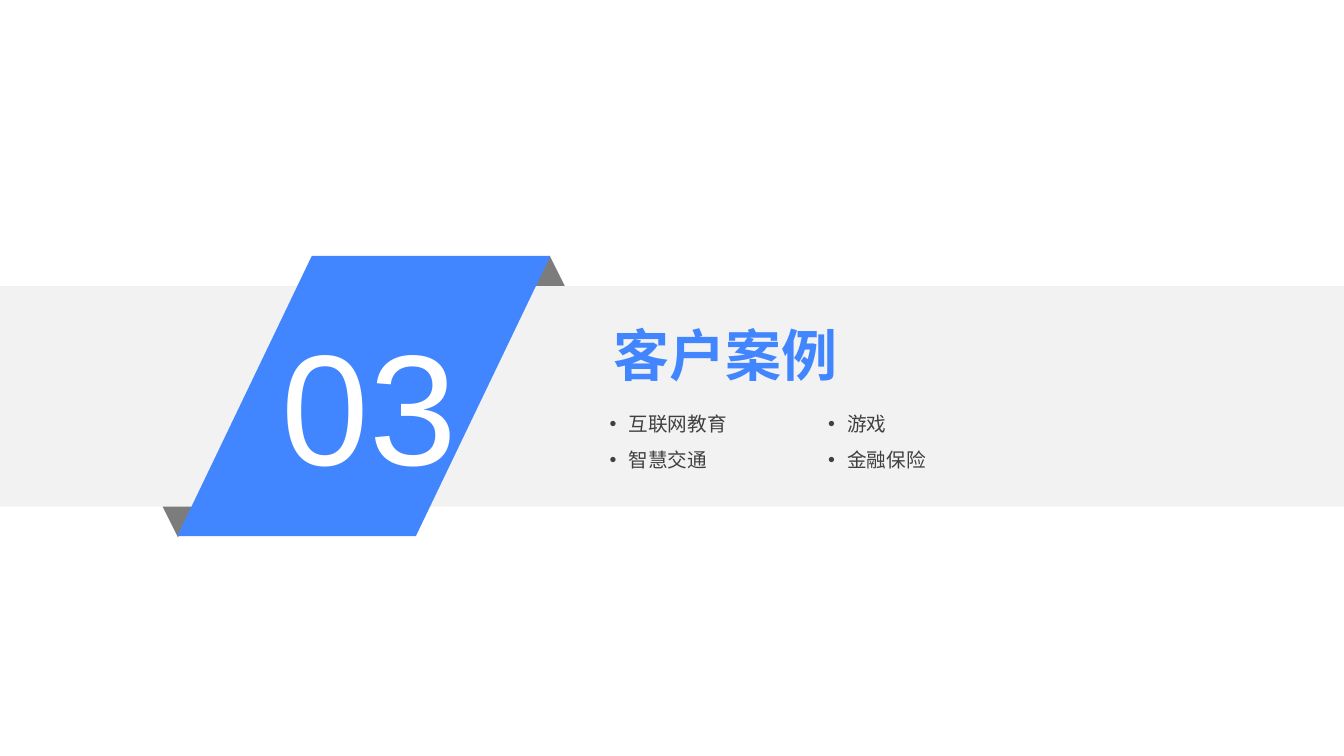
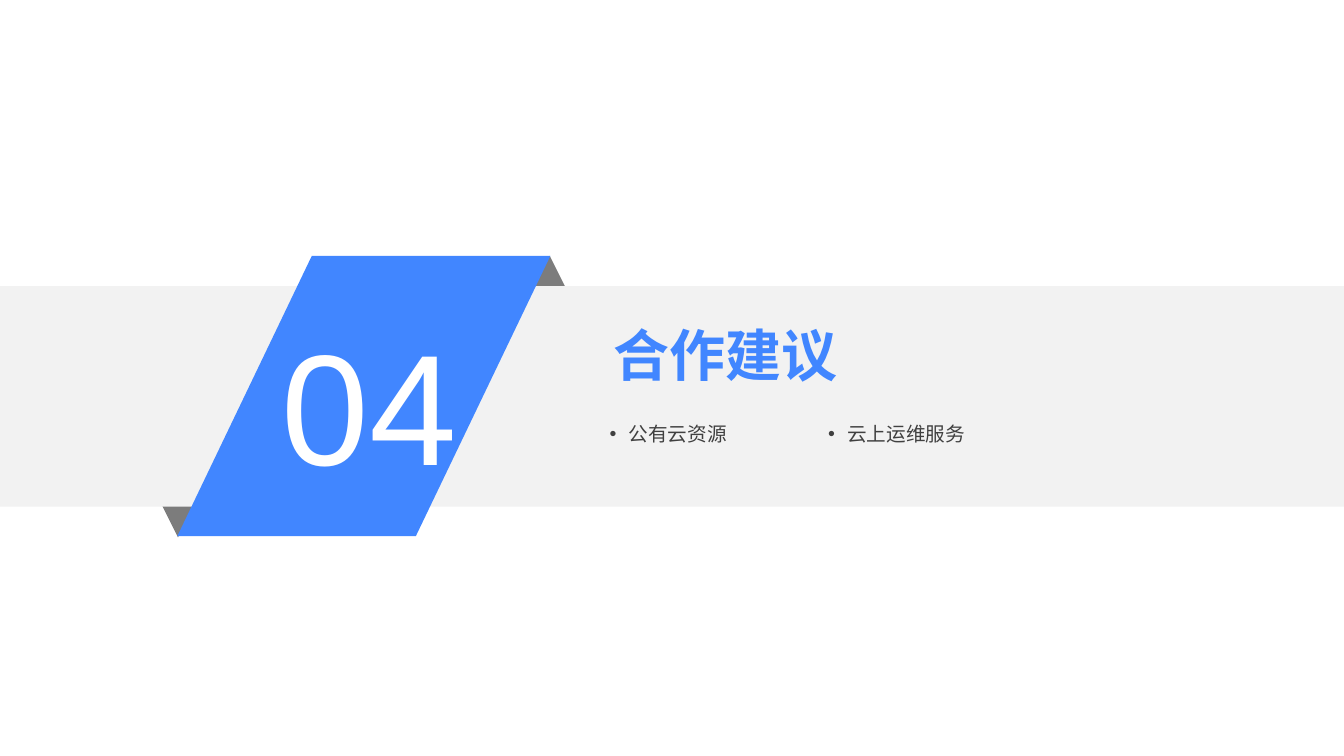
import dataclasses

import pptx
import pptx.dml.color
import pptx.enum.shapes
import pptx.enum.text
import pptx.oxml.ns
import pptx.util
from lxml import etree

Cm, Pt = pptx.util.Cm, pptx.util.Pt
SHAPES = pptx.enum.shapes.MSO_SHAPE
ALIGN = pptx.enum.text.PP_ALIGN
qn = pptx.oxml.ns.qn


@dataclasses.dataclass(frozen=True)
class Theme:
    accent: str = "4186FF"
    fold: str = "7C7C7C"
    band: str = "F2F2F2"
    body: str = "404040"
    white: str = "FFFFFF"
    number_font: str = "Arial"
    title_font: str = "Noto Sans CJK JP"
    body_font: str = "Noto Sans CJK SC"
    number_size: float = 112.5
    title_size: float = 40
    body_size: float = 14


class SectionDeck:
    """Holds the theme and the slide being built."""

    WIDTH, HEIGHT = 33.87, 19.05
    TWO_CONTENT = 3

    def __init__(self, theme):
        self.theme = theme
        self.deck = pptx.Presentation()
        self.deck.slide_width = Cm(self.WIDTH)
        self.deck.slide_height = Cm(self.HEIGHT)
        self.slide = None

    def new_slide(self):
        layout = self.deck.slide_layouts[self.TWO_CONTENT]
        self.slide = self.deck.slides.add_slide(layout)

    def block(self, group, kind, box, color):
        shape = group.shapes.add_shape(kind, *map(Cm, box))
        shape.shadow.inherit = False
        shape.fill.solid()
        shape.fill.fore_color.rgb = pptx.dml.color.RGBColor.from_string(color)
        shape.line.fill.background()
        return shape

    def frame(self, shape, margins):
        text = shape.text_frame
        text.word_wrap = True
        text.auto_size = pptx.enum.text.MSO_AUTO_SIZE.NONE
        text.vertical_anchor = pptx.enum.text.MSO_ANCHOR.TOP
        text.margin_left, text.margin_top, text.margin_right, text.margin_bottom = map(Cm, margins)
        return text

    def run(self, paragraph, words, font, size, color, bold=False):
        run = paragraph.add_run()
        run.text = words
        run.font.size = Pt(size)
        run.font.bold = bold
        run.font.color.rgb = pptx.dml.color.RGBColor.from_string(color)
        run.font.name = font
        east_asian = etree.SubElement(run.font._element, qn("a:ea"))
        east_asian.set("typeface", font)

    def placeholder(self, index, box):
        """Place a placeholder and bring it in front of the ribbon."""
        holder = self.slide.placeholders[index]
        holder.left, holder.top, holder.width, holder.height = map(Cm, box)
        self.slide.shapes._spTree.append(holder._element)
        return holder

    def ribbon(self, number):
        theme = self.theme
        group = self.slide.shapes.add_group_shape()
        # Folded corners behind the band
        self.block(group, SHAPES.ISOSCELES_TRIANGLE, (12.24, 6.45, 3.23, 3.23), theme.fold)
        lower_fold = self.block(group, SHAPES.ISOSCELES_TRIANGLE, (2.87, 10.31, 3.23, 3.23), theme.fold)
        lower_fold.rotation = 180
        # Band and slanted number plate
        self.block(group, SHAPES.RECTANGLE, (0, 7.21, self.WIDTH, 5.56), theme.band)
        plate = self.block(group, SHAPES.PARALLELOGRAM, (4.47, 6.45, 9.4, 7.06), theme.accent)
        plate.adjustments[0] = 0.48
        # Section number
        number_box = group.shapes.add_textbox(*map(Cm, (6.73, 7.77, 5.16, 4.57)))
        paragraph = self.frame(number_box, (0, 0, 0, 0)).paragraphs[0]
        paragraph.alignment = ALIGN.CENTER
        self.run(paragraph, number, theme.number_font, theme.number_size, theme.white)

    def title(self, words):
        theme = self.theme
        holder = self.placeholder(0, (15.47, 8.08, 16.13, 2.04))
        paragraph = self.frame(holder, (0, 0, 0, 0)).paragraphs[0]
        paragraph.alignment = ALIGN.LEFT
        self.run(paragraph, words, theme.title_font, theme.title_size, theme.accent, bold=True)

    def bullet(self, paragraph):
        properties = paragraph._p.get_or_add_pPr()
        properties.set("marL", str(Cm(0.48)))
        properties.set("indent", str(-Cm(0.48)))
        etree.SubElement(properties, qn("a:buFont")).set("typeface", "Arial")
        etree.SubElement(properties, qn("a:buChar")).set("char", "•")

    def topics(self, columns, top):
        theme = self.theme
        for column, items in enumerate(columns):
            holder = self.placeholder(column + 1, (15.11 + 5.51 * column, top, 5.5, 2.1))
            text = self.frame(holder, (0.25, 0.13, 0.25, 0.13))
            for row, item in enumerate(items):
                paragraph = text.add_paragraph() if row else text.paragraphs[0]
                self.bullet(paragraph)
                paragraph.space_before = Pt(8.5 if row else 0)
                self.run(paragraph, item, theme.body_font, theme.body_size, theme.body)

    def section(self, number, heading, columns, topics_top):
        self.new_slide()
        self.ribbon(number)
        self.title(heading)
        self.topics(columns, topics_top)


def main():
    sections = SectionDeck(Theme())
    sections.section("03", "客户案例", [["互联网教育", "智慧交通"], ["游戏", "金融保险"]], 10.26)
    sections.section("04", "合作建议", [["公有云资源"], ["云上运维服务"]], 10.49)
    sections.deck.save("out.pptx")


if __name__ == "__main__":
    main()
